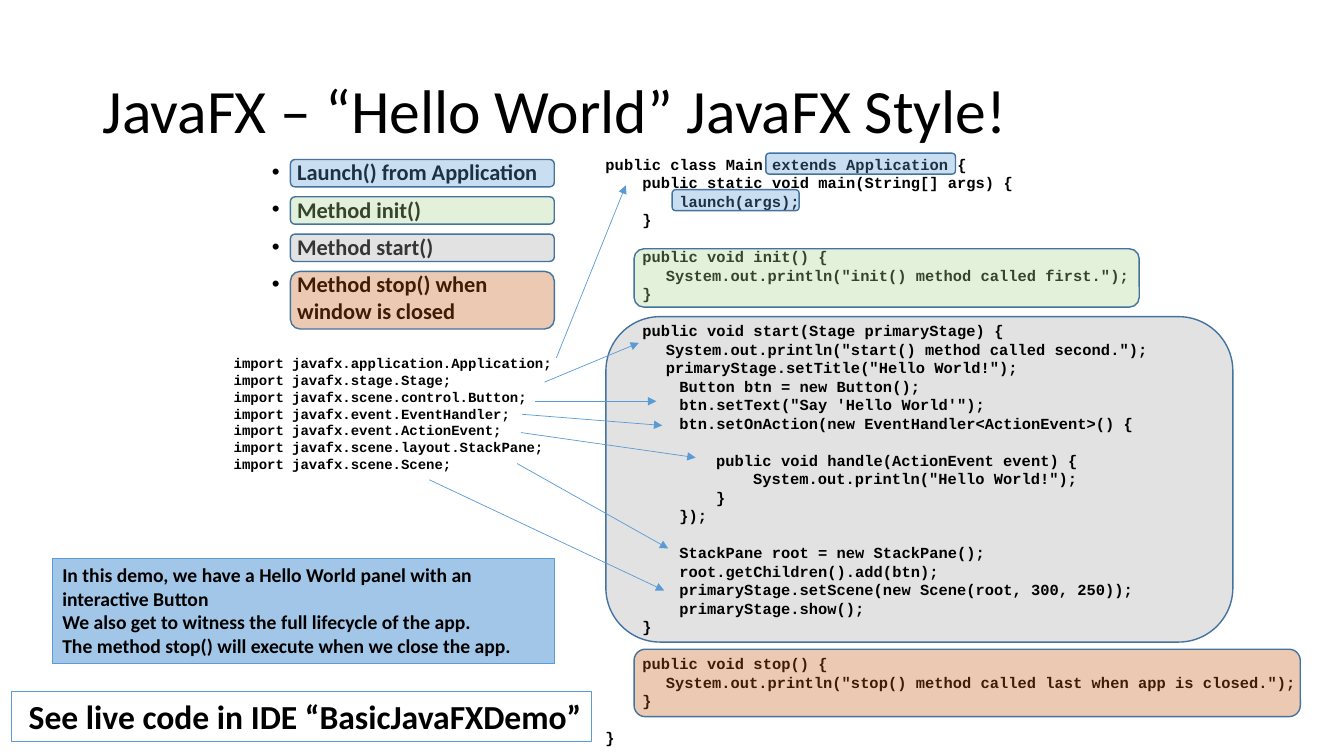
from lxml import etree
from pptx import Presentation
from pptx.dml.color import RGBColor
from pptx.enum.shapes import MSO_CONNECTOR, MSO_SHAPE
from pptx.enum.text import MSO_ANCHOR, PP_ALIGN
from pptx.oxml.ns import qn
from pptx.util import Cm, Pt

RECT, ROUND = MSO_SHAPE.RECTANGLE, MSO_SHAPE.ROUNDED_RECTANGLE
STRAIGHT = MSO_CONNECTOR.STRAIGHT
LEFT, RIGHT = PP_ALIGN.LEFT, PP_ALIGN.RIGHT
TOP, MIDDLE = MSO_ANCHOR.TOP, MSO_ANCHOR.MIDDLE
COLORS = {"text": "000000", "blue": "5B9BD5", "green": "A9D18E",
          "gray": "A5A5A5", "orange": "C55A11", "border": "43739E"}

prs = Presentation()
prs.slide_width, prs.slide_height = Cm(33.87), Cm(19.05)
s = prs.slides.add_slide(prs.slide_layouts[6])


def add_box(kind, at, fill, alpha, line, width):
    sp = s.shapes.add_shape(kind, *[Cm(v) for v in at])
    sp.shadow.inherit = False
    if fill:
        sp.fill.solid()
        sp.fill.fore_color.rgb = RGBColor.from_string(COLORS[fill])
        clr = sp.element.spPr.find(".//" + qn("a:srgbClr"))
        etree.SubElement(clr, qn("a:alpha"), val=str(alpha * 1000))
    else:
        sp.fill.background()
    sp.line.color.rgb = RGBColor.from_string(COLORS[line])
    sp.line.width = Pt(width)
    return sp


def add_text(sp, lines, size, name="Calibri", bold=True, anchor=TOP, wrap=True, align=LEFT):
    tf = sp.text_frame
    tf.word_wrap = wrap
    tf.vertical_anchor = anchor
    for i, line in enumerate(lines):
        p = tf.paragraphs[0] if i == 0 else tf.add_paragraph()
        p.alignment = align
        r = p.add_run()
        r.text = line
        for key, value in {"size": Pt(size), "name": name, "bold": bold}.items():
            setattr(r.font, key, value)
        r.font.color.rgb = RGBColor.from_string(COLORS["text"])
    return tf


add_box(ROUND, (15.27, 7.98, 15.8, 8.2), "gray", 32, "border", 1)

STEP, BODY, GAP = 0.93, 1.52, 13.25
code = [
    (0, 0, "public class Main extends Application {"),
    (STEP, 0, "public static void main(String[] args) {"),
    (2 * STEP, 0, "launch(args);"),
    (STEP, 0, "}"),
    (STEP, GAP, "public void init() {"),
    (BODY, 0, 'System.out.println("init() method called first.");'),
    (STEP, 0, "}"),
    (STEP, GAP, "public void start(Stage primaryStage) {"),
    (BODY, 0, 'System.out.println("start() method called second.");'),
    (BODY, 0, 'primaryStage.setTitle("Hello World!");'),
    (2 * STEP, 0, "Button btn = new Button();"),
    (2 * STEP, 0, "btn.setText(\"Say 'Hello World'\");"),
    (2 * STEP, 0, "btn.setOnAction(new EventHandler<ActionEvent>() {"),
    (3 * STEP, GAP, "public void handle(ActionEvent event) {"),
    (4 * STEP, 0, 'System.out.println("Hello World!");'),
    (3 * STEP, 0, "}"),
    (2 * STEP, 0, "});"),
    (2 * STEP, GAP, "StackPane root = new StackPane();"),
    (2 * STEP, 0, "root.getChildren().add(btn);"),
    (2 * STEP, 0, "primaryStage.setScene(new Scene(root, 300, 250));"),
    (2 * STEP, 0, "primaryStage.show();"),
    (STEP, 0, "}"),
    (STEP, GAP, "public void stop() {"),
    (BODY, 0, 'System.out.println("stop() method called last when app is closed.");'),
    (STEP, 0, "}"),
    (0, GAP, "}"),
]
sp = s.shapes.add_textbox(Cm(15.01), Cm(3.78), Cm(18.34), Cm(15.29))
tf = add_text(sp, [line for _, _, line in code], 11, "Courier New")
for p, (indent, gap, _) in zip(tf.paragraphs, code):
    p.space_before = Pt(gap)
    p._p.get_or_add_pPr().set("marL", str(Cm(indent)))

sp = s.shapes.add_textbox(Cm(2.34), Cm(1.02), Cm(29.21), Cm(3.68))
tf = add_text(sp, ["JavaFX – “Hello World” JavaFX Style!"], 44, bold=False, anchor=MIDDLE)
tf.paragraphs[0].line_spacing = 0.9

sp = add_box(RECT, (0.28, 17.42, 14.63, 1.27), None, 0, "blue", 0.75)
add_text(sp, ["See live code in IDE “BasicJavaFXDemo”"], 24, wrap=False, align=RIGHT)

methods = [
    ("Launch() from Application", "blue", 8.03, 0.69),
    ("Method init()", "green", 8.03, 0.69),
    ("Method start()", "gray", 8.03, 0.69),
    ("Method stop() when window is closed", "orange", 7.62, 1.45),
]
for i, (label, color, width, height) in enumerate(methods):
    top = 3.87 + 0.94 * i
    sp = s.shapes.add_textbox(Cm(6.6), Cm(top), Cm(width), Cm(1.07))
    tf = add_text(sp, [label], 16)
    pPr = tf.paragraphs[0]._p.get_or_add_pPr()
    pPr.set("marL", str(Cm(0.64)))
    pPr.set("indent", str(Cm(-0.64)))
    etree.SubElement(pPr, qn("a:buFont"), typeface="Arial")
    etree.SubElement(pPr, qn("a:buChar"), char="•")
    add_box(ROUND, (7.32, top + 0.15, 6.65, height), color, 32, "border", 1)

highlights = [
    ((19.3, 3.86, 4.78, 0.53), "blue"),
    ((16.94, 4.78, 3.2, 0.53), "blue"),
    ((15.98, 6.27, 12.73, 1.47), "green"),
    ((15.98, 16.36, 16.79, 1.7), "orange"),
]
for at, color in highlights:
    add_box(ROUND, at, color, 32, "border", 1)

imports = ["application.Application", "stage.Stage", "scene.control.Button",
           "event.EventHandler", "event.ActionEvent", "scene.layout.StackPane",
           "scene.Scene"]
sp = s.shapes.add_textbox(Cm(5.64), Cm(8.81), Cm(8.84), Cm(3.25))
add_text(sp, [f"import javafx.{name};" for name in imports], 10, "Courier New")

arrows = [
    (14.02, 9.02, 15.77, 4.67),
    (13.72, 9.63, 16.1, 8.64),
    (13.49, 10.11, 16.54, 10.11),
    (13.16, 10.44, 16.69, 10.72),
    (13.13, 10.9, 17.53, 11.53),
    (13.03, 11.68, 16.84, 13.82),
    (10.82, 12.09, 16.74, 14.88),
]
for ends in arrows:
    cx = s.shapes.add_connector(STRAIGHT, *[Cm(v) for v in ends])
    cx.line.color.rgb = RGBColor.from_string(COLORS["blue"])
    cx.line.width = Pt(0.5)
    spPr = cx._element.spPr
    etree.SubElement(spPr.find(qn("a:ln")), qn("a:tailEnd"), type="triangle")
    etree.SubElement(spPr, qn("a:effectLst"))

sp = add_box(RECT, (1.32, 14.07, 12.65, 2.64), "blue", 57, "blue", 0.75)
add_text(sp, ["In this demo, we have a Hello World panel with an interactive Button",
              "We also get to witness the full lifecycle of the app.",
              "The method stop() will execute when we close the app."], 14)

prs.save("out.pptx")
